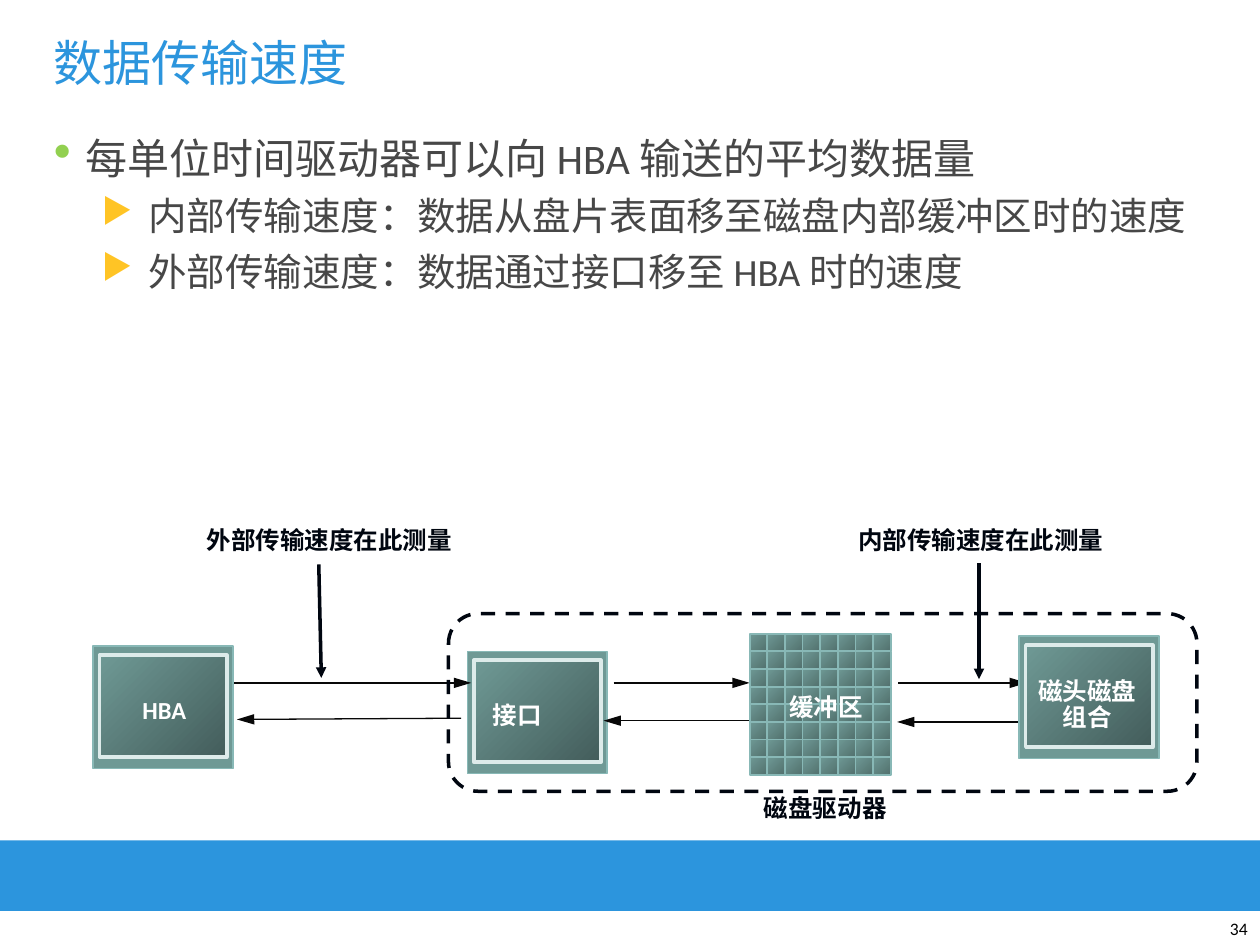
from itertools import product

from lxml.etree import SubElement
from pptx import Presentation
from pptx.dml.color import RGBColor
from pptx.enum.dml import MSO_LINE_DASH_STYLE as Dash
from pptx.enum.shapes import MSO_CONNECTOR as Connector, MSO_SHAPE as Shape
from pptx.enum.text import MSO_ANCHOR as Anchor, PP_ALIGN as Align
from pptx.oxml.ns import qn
from pptx.util import Inches, Pt

BLUE, INK, GREY, WHITE, BLACK = "2C95DD", "000610", "474747", "FFFFFF", "080808"
TEAL, TEAL_EDGE, TEAL_DARK, TILE_DARK, FRAME = (
    "6F9995", "88B8B6", "435D5B", "52716E", "DDEBEA")
LATIN, CJK = "Calibri", "Noto Sans CJK SC"


def color(hex_text):
    return RGBColor.from_string(hex_text)


def set_all(target, values):
    for name, value in values.items():
        setattr(target, name, value)


def add_box(slide, area, fill=None, gradient_end=None, line=None, width=1,
            kind=Shape.RECTANGLE):
    box = slide.shapes.add_shape(kind, *map(Inches, area))
    box.shadow.inherit = False
    if gradient_end:
        box.fill.gradient()
        box.fill.gradient_angle = 315
        for stop, shade in zip(box.fill.gradient_stops, (fill, gradient_end)):
            stop.color.rgb = color(shade)
    elif fill:
        box.fill.solid()
        box.fill.fore_color.rgb = color(fill)
    else:
        box.fill.background()
    if line:
        box.line.color.rgb = color(line)
        box.line.width = Pt(width)
    else:
        box.line.fill.background()
    return box


def add_frame(slide, area, inset=(0, 0), wrap=True, anchor=Anchor.TOP):
    frame = slide.shapes.add_textbox(*map(Inches, area)).text_frame
    side, top = map(Inches, inset)
    set_all(frame, {"word_wrap": wrap, "vertical_anchor": anchor,
                    "margin_left": side, "margin_right": side,
                    "margin_top": top, "margin_bottom": top})
    return frame


def write(paragraph, text, size, shade, font=LATIN, bold=False, **layout):
    run = paragraph.add_run()
    run.text = text
    set_all(run.font, {"size": Pt(size), "bold": bold, "name": font})
    run.font.color.rgb = color(shade)
    SubElement(run.font._element, qn("a:ea")).set("typeface", font)
    set_all(paragraph, layout)
    return run


def add_bullet(paragraph, sign, shade, percent, left, hanging):
    props = paragraph._p.get_or_add_pPr()
    props.set("marL", str(Inches(left)))
    props.set("indent", str(-Inches(hanging)))
    SubElement(SubElement(props, qn("a:buClr")), qn("a:srgbClr")).set("val", shade)
    SubElement(props, qn("a:buSzPct")).set("val", str(percent * 1000))
    SubElement(props, qn("a:buChar")).set("char", sign)


def add_caption(slide, area, text, font=LATIN):
    write(add_frame(slide, area).paragraphs[0], text, 14, INK, font, True,
          alignment=Align.CENTER)


def add_part_label(slide, area, text, font=LATIN, wrap=False):
    """White bold label with a small dark text shadow."""
    run = write(add_frame(slide, area, wrap=wrap).paragraphs[0], text, 14, WHITE,
                font, True, alignment=Align.CENTER, line_spacing=0.9)
    effects = run.font._element.makeelement(qn("a:effectLst"), {})
    shadow = SubElement(effects, qn("a:outerShdw"), dist="25400", dir="2700000")
    SubElement(shadow, qn("a:srgbClr")).set("val", "000000")
    run.font._element.find(qn("a:solidFill")).addnext(effects)


def add_module(slide, left, top):
    add_box(slide, (left, top, 1.11, 0.97), TEAL, line=TEAL_EDGE)
    add_box(slide, (left + 0.05, top + 0.07, 1.01, 0.81), TEAL, TEAL_DARK, FRAME, 2)


def add_buffer(slide, left, top, count=8, tile=0.14):
    for row, column in product(range(count), repeat=2):
        add_box(slide, (left + column * tile, top + row * tile, tile, tile),
                TEAL, TILE_DARK, TEAL_EDGE)


def add_arrow(slide, start, end, shade=BLACK, width=0.75, head_length="lg"):
    arrow = slide.shapes.add_connector(
        Connector.STRAIGHT, *map(Inches, (*start, *end)))
    arrow.line.color.rgb = color(shade)
    arrow.line.width = Pt(width)
    SubElement(arrow.line._get_or_add_ln(), qn("a:tailEnd"),
               type="triangle", w="med", len=head_length)
    SubElement(arrow._element.spPr, qn("a:effectLst"))


def add_texts(slide):
    title = add_frame(slide, (0.33, 0.08, 9.25, 0.83), (0.1, 0.05),
                      anchor=Anchor.MIDDLE)
    write(title.paragraphs[0], "数据传输速度", 28, BLUE)

    body = add_frame(slide, (0.33, 1, 9.25, 5.67), (0.1, 0.05))
    main_point = body.paragraphs[0]
    add_bullet(main_point, "•", "92D050", 120, 0.25, 0.25)
    write(main_point, "每单位时间驱动器可以向 HBA 输送的平均数据量", 24, GREY)
    for text in ("内部传输速度：数据从盘片表面移至磁盘内部缓冲区时的速度",
                 "外部传输速度：数据通过接口移至 HBA 时的速度"):
        detail = body.add_paragraph()
        add_bullet(detail, "▶", "FFC425", 90, 0.75, 0.37)
        write(detail, text, 22, GREY, level=1, space_before=Pt(5.5))

    number = add_frame(slide, (9.5, 7.25, 0.5, 0.25), (0.1, 0.05),
                       anchor=Anchor.BOTTOM)
    write(number.paragraphs[0], "34", 10, "000000", alignment=Align.RIGHT)


def add_diagram(slide):
    # Interface
    add_module(slide, 3.71, 5.17)
    add_part_label(slide, (3.91, 5.58, 0.39, 0.21), "接口", CJK)

    # Data flow in both directions
    for start, end in (((3.66, 5.7), (1.88, 5.71)), ((5.95, 5.72), (4.79, 5.72)),
                       ((8.14, 5.73), (7.12, 5.73)), ((1.85, 5.42), (3.74, 5.42)),
                       ((4.87, 5.42), (5.95, 5.42)), ((7.13, 5.42), (8.15, 5.42))):
        add_arrow(slide, start, end)

    # Buffer
    add_buffer(slide, 5.95, 5.03)
    add_part_label(slide, (6.26, 5.52, 0.59, 0.21), "缓冲区", CJK)

    # Host adapter
    add_module(slide, 0.74, 5.13)
    add_part_label(slide, (1.13, 5.54, 0.35, 0.21), "HBA")

    # Drive outline and measuring points
    drive = add_box(slide, (3.56, 4.87, 5.94, 1.41), line=INK, width=2,
                    kind=Shape.ROUNDED_RECTANGLE)
    drive.line.dash_style = Dash.DASH
    add_caption(slide, (6.5, 4.17, 2.57, 0.23), "内部传输速度在此测量")
    add_caption(slide, (1.25, 4.17, 2.73, 0.23), "外部传输速度在此测量")
    for start, end in (((7.77, 4.47), (7.77, 5.39)), ((2.53, 4.48), (2.55, 5.38))):
        add_arrow(slide, start, end, INK, 2, "med")

    # Head and disk assembly
    add_module(slide, 8.09, 5.05)
    add_part_label(slide, (8.18, 5.39, 0.9, 0.42), "磁头磁盘组合", wrap=True)
    add_caption(slide, (5.96, 6.29, 1.18, 0.23), "磁盘驱动器", CJK)


def main():
    deck = Presentation()
    set_all(deck, {"slide_width": Inches(10), "slide_height": Inches(7.5)})
    slide = deck.slides.add_slide(deck.slide_layouts[6])
    add_box(slide, (0, 6.67, 10, 0.56), BLUE)
    add_texts(slide)
    add_diagram(slide)
    deck.save("out.pptx")


if __name__ == "__main__":
    main()
